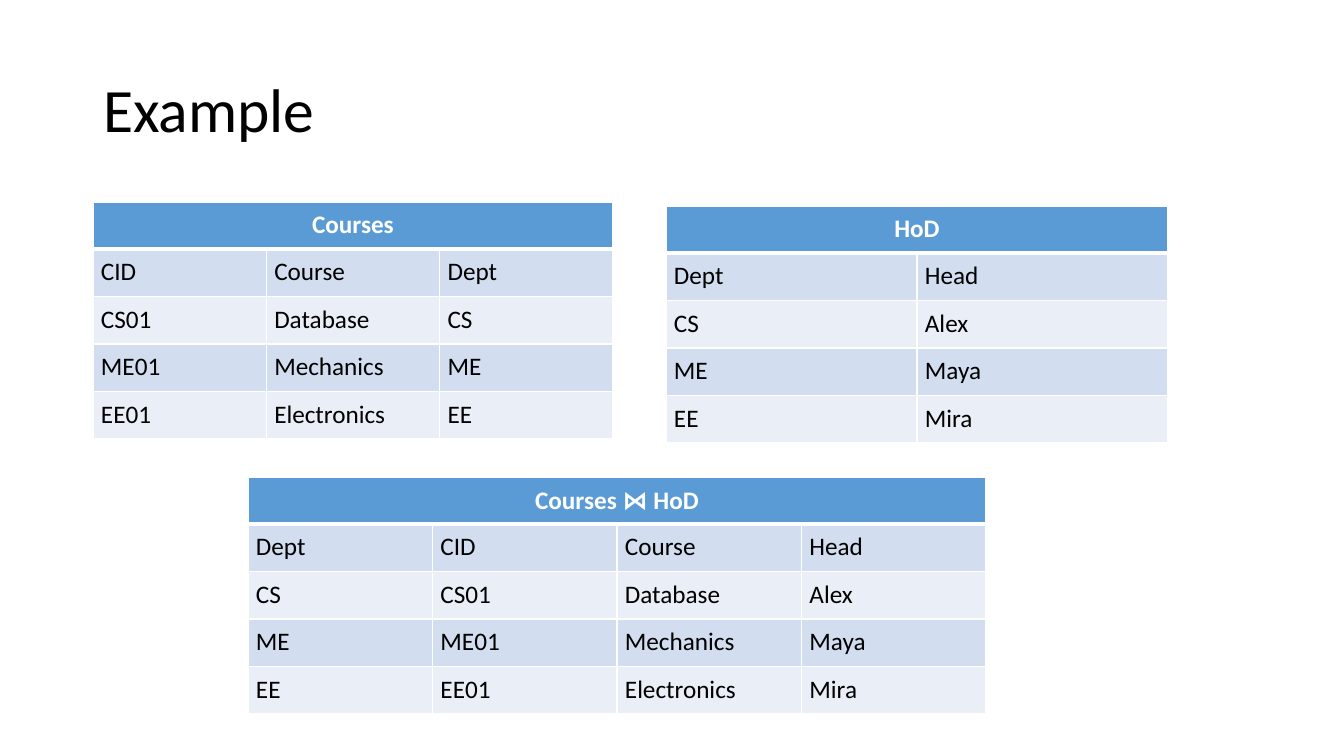
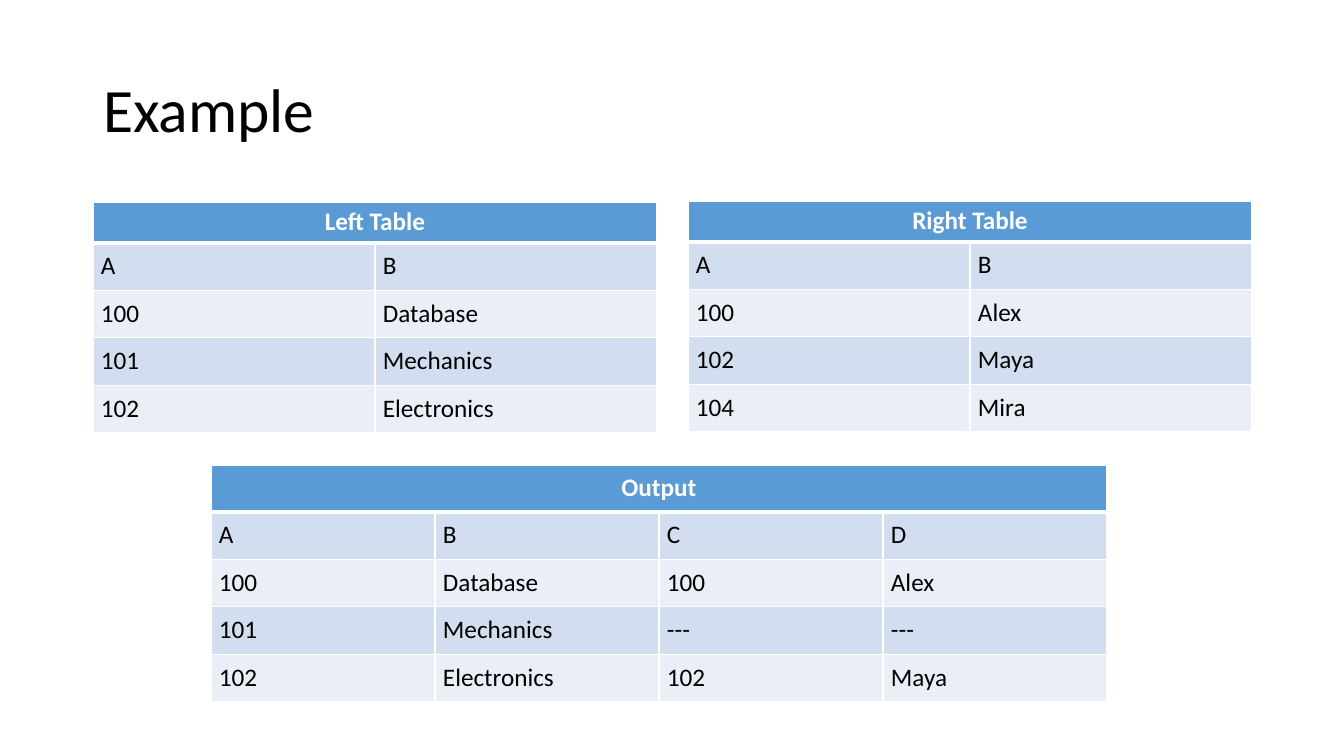
from dataclasses import dataclass

from lxml.etree import SubElement
from pptx import Presentation
from pptx.dml.color import RGBColor
from pptx.enum.text import MSO_ANCHOR as Anchor, PP_ALIGN as Align
from pptx.oxml.ns import qn
from pptx.util import Pt

EMU_PER_PX = 12192000 / 1344


@dataclass(frozen=True)
class Theme:
    """Hold the colours, type sizes and cell measures shared by the slides."""
    font: str = "Calibri"
    title_size: int = 44
    table_size: int = 18
    text: str = "000000"
    white: str = "FFFFFF"
    header: str = "5B9BD5"
    bands: tuple = ("D2DEEF", "EAEFF7")
    thin: int = 1
    thick: int = 3
    inset: int = 8
    header_height: int = 47
    body_height: int = 190


THEME = Theme()
TITLE_BOX = (93, 40, 1159, 146)


def px(length):
    """Turn pixels into EMU."""
    return round(length * EMU_PER_PX)


def style_font(font, size, color, bold=False):
    """Apply the theme font with the given size, colour and weight."""
    font.name = THEME.font
    font.size = Pt(size)
    font.bold = bold
    font.color.rgb = RGBColor.from_string(color)


def add_borders(cell, top, bottom):
    """Draw white borders around a cell."""
    properties = cell._tc.get_or_add_tcPr()
    widths = {"L": THEME.thin, "R": THEME.thin, "T": top, "B": bottom}
    for side, width in widths.items():
        line = SubElement(properties, qn(f"a:ln{side}"), w=str(Pt(width)))
        fill = SubElement(line, qn("a:solidFill"))
        SubElement(fill, qn("a:srgbClr"), val=THEME.white)


def style_cell(cell, text, row, inset):
    """Fill in a cell as the heading or as part of a banded row."""
    heading = row == 0
    add_borders(cell, THEME.thick if row == 1 else THEME.thin,
                THEME.thick if heading else THEME.thin)
    cell.fill.solid()
    cell.fill.fore_color.rgb = RGBColor.from_string(
        THEME.header if heading else THEME.bands[(row - 1) % 2])
    cell.margin_left = cell.margin_right = px(THEME.inset)
    cell.margin_top = cell.margin_bottom = px(inset)
    cell.text = text
    paragraph = cell.text_frame.paragraphs[0]
    paragraph.alignment = Align.CENTER if heading else Align.LEFT
    style_font(paragraph.font, THEME.table_size,
               THEME.white if heading else THEME.text, heading)


def add_relation(slide, box, name, rows, header_height=THEME.header_height):
    """Place a relation with its name across the top of the given box."""
    left, top, width = box
    column_count = len(rows[0])
    height = header_height + THEME.body_height
    table = slide.shapes.add_table(len(rows) + 1, column_count, px(left), px(top),
                                   px(width), px(height)).table
    table.horz_banding = False
    for column in table.columns:
        column.width = px(width / column_count)
    heading = (name,) + ("",) * (column_count - 1)
    for row, values in enumerate([heading, *rows]):
        is_short = row == 0 and header_height < THEME.header_height
        table.rows[row].height = px(THEME.body_height / len(rows) if row else header_height)
        for column, text in enumerate(values):
            style_cell(table.cell(row, column), text, row, 5 if is_short else THEME.inset)
    table.cell(0, 0).merge(table.cell(0, column_count - 1))


def add_title(slide, text, box):
    """Place the slide title in the given box."""
    title = slide.shapes.title
    title.left, title.top, title.width, title.height = map(px, box)
    title.text_frame.text = text
    title.text_frame.vertical_anchor = Anchor.MIDDLE
    paragraph = title.text_frame.paragraphs[0]
    paragraph.alignment = Align.LEFT
    paragraph.line_spacing = 0.9
    style_font(paragraph.font, THEME.title_size, THEME.text)


def add_example_slide(presentation, relations):
    """Add a titled slide that shows the given relations."""
    slide = presentation.slides.add_slide(presentation.slide_layouts[5])
    add_title(slide, "Example", TITLE_BOX)
    for relation in relations:
        add_relation(slide, *relation)


NATURAL_JOIN = [
    ((93, 202, 520), "Courses", [
        ("CID", "Course", "Dept"),
        ("CS01", "Database", "CS"),
        ("ME01", "Mechanics", "ME"),
        ("EE01", "Electronics", "EE")]),
    ((666, 206, 502), "HoD", [
        ("Dept", "Head"), ("CS", "Alex"), ("ME", "Maya"), ("EE", "Mira")]),
    ((248, 477, 738), "Courses ⋈ HoD", [
        ("Dept", "CID", "Course", "Head"),
        ("CS", "CS01", "Database", "Alex"),
        ("ME", "ME01", "Mechanics", "Maya"),
        ("EE", "EE01", "Electronics", "Mira")]),
]

LEFT_JOIN = [
    ((93, 202, 564), "Left Table", [
        ("A", "B"), ("100", "Database"), ("101", "Mechanics"), ("102", "Electronics")], 40),
    ((688, 201, 564), "Right Table", [
        ("A", "B"), ("100", "Alex"), ("102", "Maya"), ("104", "Mira")], 40),
    ((211, 465, 896), "Output", [
        ("A", "B", "C", "D"),
        ("100", "Database", "100", "Alex"),
        ("101", "Mechanics", "---", "---"),
        ("102", "Electronics", "102", "Maya")]),
]


def main():
    """Build and save the presentation."""
    presentation = Presentation()
    presentation.slide_width, presentation.slide_height = px(1344), px(756)
    for relations in (NATURAL_JOIN, LEFT_JOIN):
        add_example_slide(presentation, relations)
    presentation.save("out.pptx")


if __name__ == "__main__":
    main()
